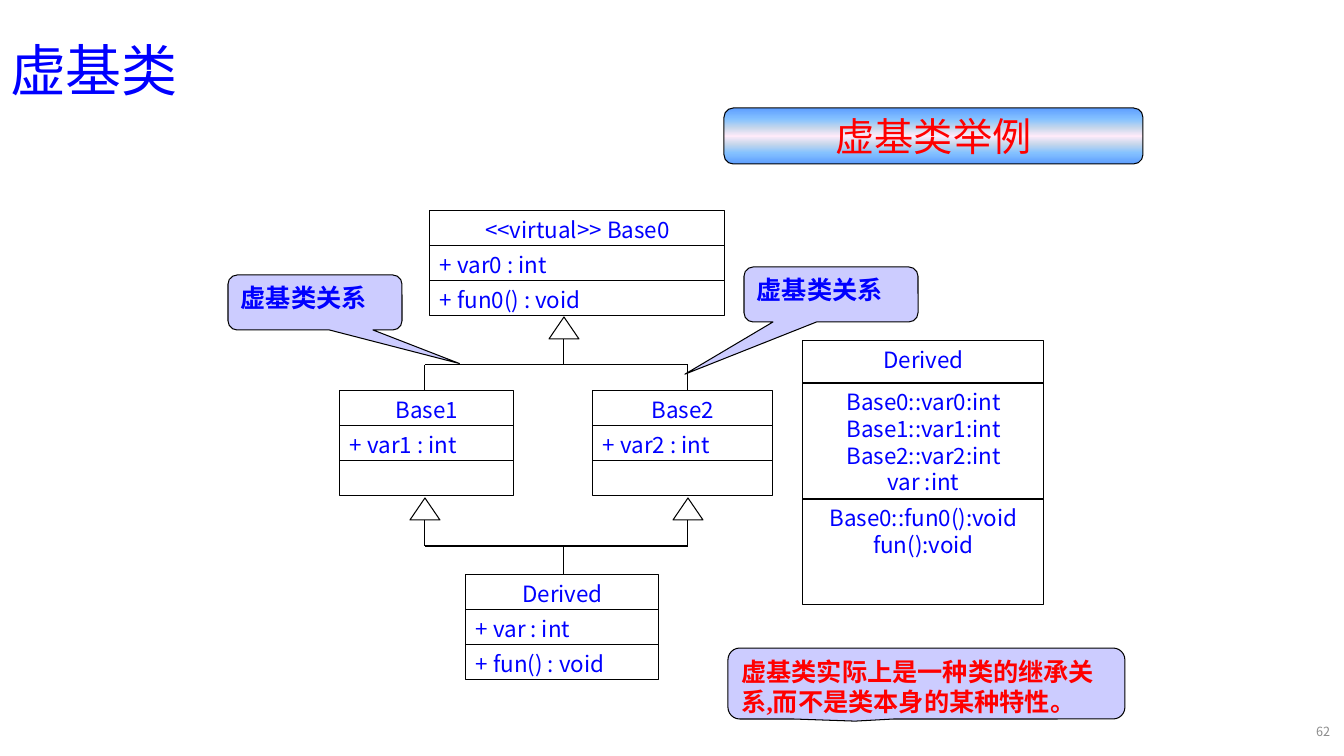
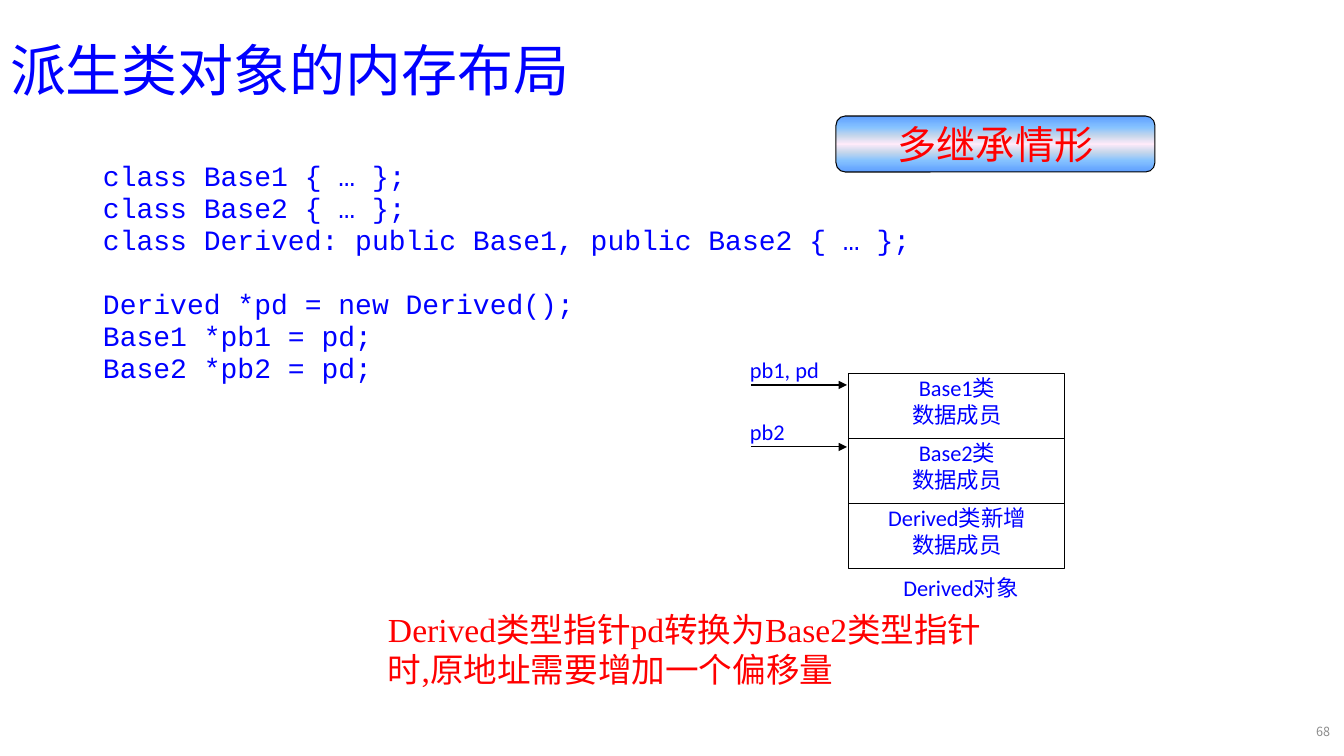
from lxml import etree
from pptx import Presentation
from pptx.dml.color import RGBColor
from pptx.enum.shapes import MSO_CONNECTOR, MSO_SHAPE
from pptx.enum.text import MSO_ANCHOR, MSO_AUTO_SIZE, PP_ALIGN
from pptx.oxml.ns import qn
from pptx.util import Emu, Pt

RECTANGLE = MSO_SHAPE.RECTANGLE
ROUNDED = MSO_SHAPE.ROUNDED_RECTANGLE
TRIANGLE = MSO_SHAPE.ISOSCELES_TRIANGLE
CALLOUT = MSO_SHAPE.ROUNDED_RECTANGULAR_CALLOUT
STRAIGHT = MSO_CONNECTOR.STRAIGHT
LEFT, CENTER, RIGHT = PP_ALIGN.LEFT, PP_ALIGN.CENTER, PP_ALIGN.RIGHT
TOP, MIDDLE = MSO_ANCHOR.TOP, MSO_ANCHOR.MIDDLE
NO_AUTOFIT = MSO_AUTO_SIZE.NONE

EMU_PER_PIXEL = 914400 / 100.8
SLIDE_WIDTH, SLIDE_HEIGHT = 1344, 756
BLUE, RED, BLACK, WHITE = "0000FF", "FF0000", "000000", "FFFFFF"
GRAY, LAVENDER = "8C8C8C", "CCCCFF"
BANNER_STOPS = [(0, "5E9EFF"), (20, "85C2FF"), (35, "C4D6EB"), (50, "FFEBFA"),
                (65, "C4D6EB"), (80, "85C2FF"), (100, "5E9EFF")]
SANS, SERIF, MONO = "Noto Sans CJK SC", "Times New Roman", "Courier New"
ARIAL, CALIBRI = "Arial", "Calibri"
INSETS = (10, 5)
NO_INSETS = (0, 0)
ROW = 35
ARROW_WIDTH, ARROW_HEIGHT = 30, 22


def px(length):
    return Emu(round(length * EMU_PER_PIXEL))


def rgb(color):
    return RGBColor.from_string(color)


# Shared text and shape helpers
def write(frame, lines, size, font=SANS, color=BLUE, align=LEFT, bold=False,
          anchor=TOP, insets=INSETS, spacing=1.0):
    frame.word_wrap = True
    frame.auto_size = NO_AUTOFIT
    frame.vertical_anchor = anchor
    frame.margin_left = frame.margin_right = px(insets[0])
    frame.margin_top = frame.margin_bottom = px(insets[1])
    for index, line in enumerate(lines):
        paragraph = frame.add_paragraph() if index else frame.paragraphs[0]
        paragraph.alignment = align
        paragraph.line_spacing = spacing
        paragraph.space_before = Pt(0)
        run = paragraph.add_run()
        run.text = line
        run.font.size = Pt(size)
        run.font.bold = bold
        run.font.color.rgb = rgb(color)
        run.font.name = font
        east_asian = etree.SubElement(run.font._element, qn("a:ea"))
        east_asian.set("typeface", SANS)


def place(shape, left, top, width, height):
    shape.left, shape.top = px(left), px(top)
    shape.width, shape.height = px(width), px(height)


def add_text(slide, box, lines, size, **style):
    shape = slide.shapes.add_textbox(*map(px, box))
    write(shape.text_frame, lines, size, **style)


def add_outlined(slide, kind, box, fill=None):
    shape = slide.shapes.add_shape(kind, *map(px, box))
    shape.shadow.inherit = False
    shape.line.color.rgb = rgb(BLACK)
    shape.line.width = Pt(0.75)
    if fill:
        shape.fill.solid()
        shape.fill.fore_color.rgb = rgb(fill)
    else:
        shape.fill.background()
    return shape


def add_line(slide, start, end, arrow=False):
    connector = slide.shapes.add_connector(STRAIGHT, *map(px, start + end))
    connector.line.color.rgb = rgb(BLACK)
    connector.line.width = Pt(0.75)
    if arrow:
        outline = next(connector.element.iter(qn("a:ln")))
        etree.SubElement(outline, qn("a:tailEnd")).set("type", "triangle")
    etree.SubElement(connector.element.spPr, qn("a:effectLst"))


# Title, banner and page number of every slide
def add_banner(slide, box, text):
    banner = add_outlined(slide, ROUNDED, box)
    banner.fill.gradient()
    banner.fill.gradient_angle = 90
    stops = next(banner.element.iter(qn("a:gsLst")))
    for stop in list(stops):
        stops.remove(stop)
    for position, color in BANNER_STOPS:
        stop = etree.SubElement(stops, qn("a:gs"))
        stop.set("pos", str(position * 1000))
        etree.SubElement(stop, qn("a:srgbClr")).set("val", color)
    write(banner.text_frame, [text], 28, font=ARIAL, color=RED, align=CENTER,
          anchor=MIDDLE, insets=NO_INSETS)


def start_slide(presentation, layout, title, number, banner_box, banner_text):
    slide = presentation.slides.add_slide(presentation.slide_layouts[layout])
    place(slide.shapes.title, 0, 0, 1159, 146)
    write(slide.shapes.title.text_frame, [title], 40, anchor=MIDDLE, spacing=0.9)
    add_banner(slide, banner_box, banner_text)
    add_text(slide, (1299, 712, 41, 40), [number], 9, color=GRAY,
             align=RIGHT, anchor=MIDDLE)
    return slide


# Class diagram
def add_class(slide, left, top, width, sections, member_align=LEFT):
    for index, (height, lines) in enumerate(sections):
        section = add_outlined(slide, RECTANGLE, (left, top, width, height))
        write(section.text_frame, lines, 16,
              align=member_align if index else CENTER)
        top += height


def add_inheritance(slide, tip, bar, end, parents, children):
    for x in parents:
        add_outlined(slide, TRIANGLE, (x - ARROW_WIDTH // 2, tip,
                                       ARROW_WIDTH, ARROW_HEIGHT), WHITE)
        add_line(slide, (x, tip + ARROW_HEIGHT), (x, bar))
    for x in children:
        add_line(slide, (x, bar), (x, end))
    ends = parents + children
    add_line(slide, (min(ends), bar), (max(ends), bar))


def add_callout(slide, box, text, tip, color=BLUE):
    callout = add_outlined(slide, CALLOUT, box, LAVENDER)
    callout.adjustments[0], callout.adjustments[1] = tip
    write(callout.text_frame, [text], 18, font=SERIF, color=color, bold=True)


def build_virtual_base(presentation):
    slide = start_slide(presentation, 5, "虚基类", "62",
                        (724, 108, 419, 56), "虚基类举例")
    # Classes
    add_class(slide, 803, 341, 241, [
        (42, ["Derived"]),
        (116, ["Base0::var0:int", "Base1::var1:int", "Base2::var2:int",
               "var :int"]),
        (106, ["Base0::fun0():void", "fun():void"])], CENTER)
    for left, top, width, rows in [
            (430, 211, 295, ["<<virtual>> Base0", "+ var0 : int", "+ fun0() : void"]),
            (340, 391, 174, ["Base1", "+ var1 : int", ""]),
            (593, 391, 180, ["Base2", "+ var2 : int", ""]),
            (466, 575, 193, ["Derived", "+ var : int", "+ fun() : void"])]:
        add_class(slide, left, top, width,
                  [(ROW, [row] if row else []) for row in rows])
    # Inheritance arrows
    root, middle = [564], [425, 688]
    add_inheritance(slide, 317, 365, 391, root, middle)
    add_inheritance(slide, 498, 546, 575, middle, root)
    # Remarks
    add_callout(slide, (228, 275, 174, 55), "虚基类关系", (0.83, 1.11))
    add_callout(slide, (744, 267, 174, 55), "虚基类关系", (-0.84, 1.45))
    add_callout(slide, (728, 648, 397, 71),
                "虚基类实际上是一种类的继承关系,而不是类本身的某种特性。".replace(",", ","),
                (-0.18, 0.53), RED)


# Code listing
def add_code(slide, box, blocks):
    body = slide.placeholders[1]
    place(body, *box)
    write(body.text_frame, [line for block in blocks for line in block], 20,
          font=MONO, spacing=0.95)
    paragraphs = body.text_frame.paragraphs
    first = 0
    for block in blocks[:-1]:
        first += len(block)
        paragraphs[first].space_before = Pt(22.8)
    for paragraph in paragraphs:
        properties = paragraph._p.get_or_add_pPr()
        properties.set("marL", "0")
        properties.set("indent", "0")
        etree.SubElement(properties, qn("a:buNone"))


# Memory layout diagram
def add_memory(slide, left, top, width, row_height, parts, pointers, caption):
    style = {"font": CALIBRI, "insets": NO_INSETS}
    for index, part in enumerate(parts):
        cell = add_outlined(slide, RECTANGLE, (left, top + index * row_height,
                                               width, row_height))
        write(cell.text_frame, [part, "数据成员"], 16, align=CENTER, **style)
    for index, pointer in enumerate(pointers):
        y = top + 11 + index * 62
        add_line(slide, (left - 98, y), (left - 2, y), arrow=True)
        add_text(slide, (left - 99, y - 29, 87, 39), [pointer], 16, **style)
    add_text(slide, (left + 4, top + len(parts) * row_height + 5, width, 34),
             [caption], 16, align=CENTER, **style)


def build_memory_layout(presentation):
    slide = start_slide(presentation, 1, "派生类对象的内存布局", "68",
                        (836, 116, 319, 56), "多继承情形")
    add_code(slide, (93, 156, 1159, 525), [
        ["class Base1 { … };", "class Base2 { … };",
         "class Derived: public Base1, public Base2 { … };"],
        ["Derived *pd = new Derived();", "Base1 *pb1 = pd;",
         "Base2 *pb2 = pd;"]])
    add_memory(slide, 849, 374, 216, 65,
               ["Base1类", "Base2类", "Derived类新增"],
               ["pb1, pd", "pb2"], "Derived对象")
    add_text(slide, (378, 604, 633, 92),
             ["Derived类型指针pd转换为Base2类型指针",
              "时,原地址需要增加一个偏移量".replace(",", ",")],
             24, font=SERIF, color=RED)


presentation = Presentation()
presentation.slide_width = px(SLIDE_WIDTH)
presentation.slide_height = px(SLIDE_HEIGHT)
build_virtual_base(presentation)
build_memory_layout(presentation)
presentation.save("out.pptx")
